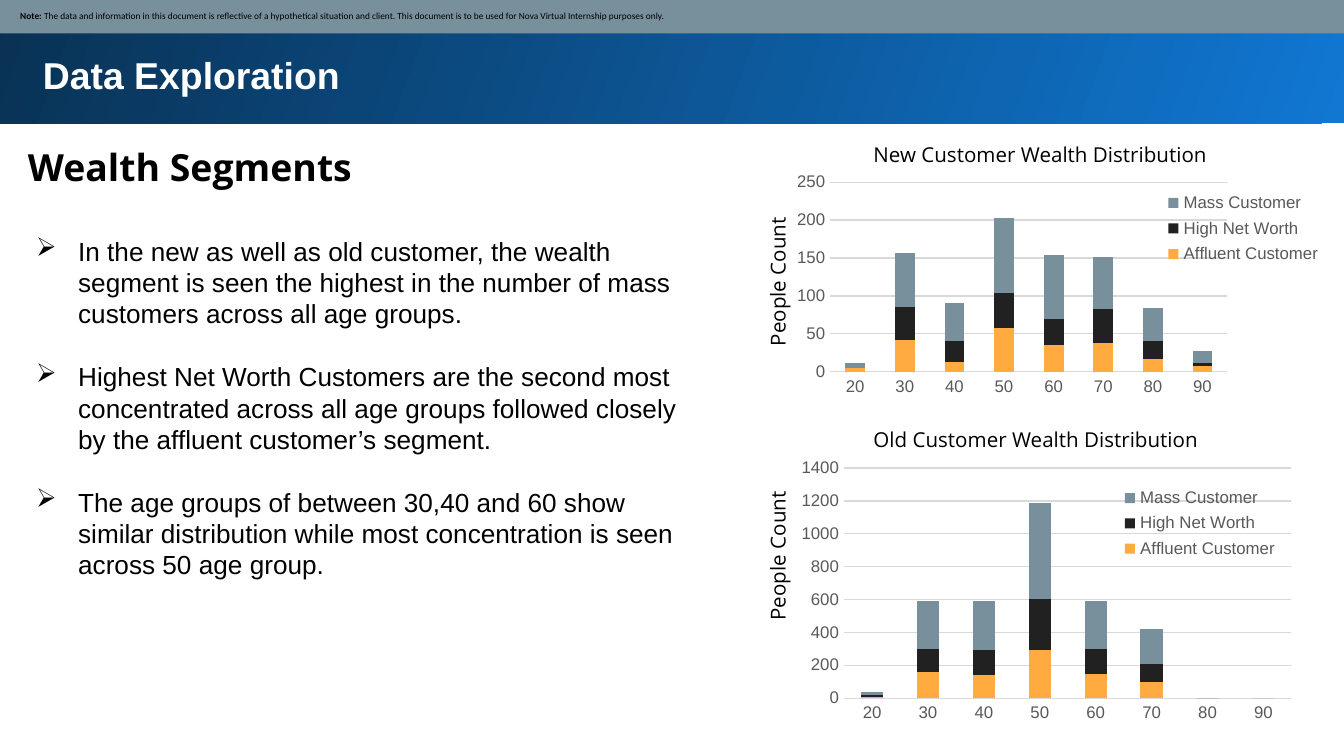
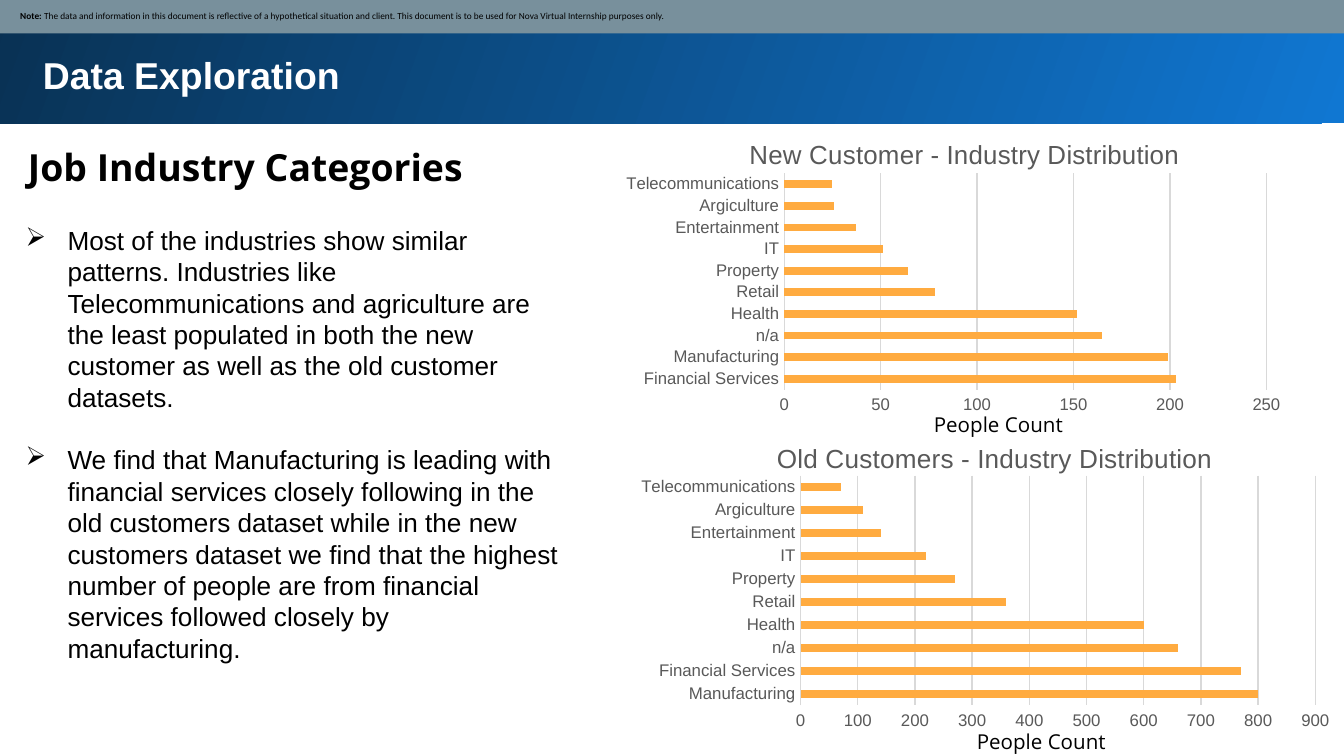
import pptx
import pptx.chart.data
import pptx.dml.color
import pptx.enum.chart
import pptx.enum.shapes
import pptx.enum.text
import pptx.oxml.ns
import pptx.util
from lxml import etree

Pt = pptx.util.Pt
RGB = pptx.dml.color.RGBColor
Kind = pptx.enum.chart.XL_CHART_TYPE
Anchor = pptx.enum.text.MSO_ANCHOR
qn = pptx.oxml.ns.qn

# Colours and fonts
BLUE = RGB(0x10, 0x77, 0xD2)
NAVY = RGB(0x09, 0x31, 0x53)
SLATE = RGB(0x78, 0x90, 0x9C)
AMBER = RGB(0xFF, 0xAB, 0x40)
COAL = RGB(0x21, 0x21, 0x21)
GREY = RGB(0x59, 0x59, 0x59)
RULE = RGB(0xD9, 0xD9, 0xD9)
BLACK = RGB(0, 0, 0)
WHITE = RGB(0xFF, 0xFF, 0xFF)
BODY, HEAD, SMALL = "Arial", "Open Sans", "Calibri"

NOTE = ("The data and information in this document is reflective of a "
        "hypothetical situation and client. This document is to be used "
        "for Nova Virtual Internship purposes only.")


class Deck:
    def __init__(self):
        self.prs = pptx.Presentation()
        self.prs.slide_width, self.prs.slide_height = Pt(720), Pt(405)
        self.slide = None

    # Text helpers
    def run(self, para, text, size, font, color=BLACK, bold=False):
        run = para.add_run()
        run.text = text
        style = run.font
        style.size, style.name, style.bold = Pt(size), font, bold
        style.color.rgb = color

    def frame(self, shape, inset, anchor=Anchor.TOP):
        frame = shape.text_frame
        frame.word_wrap = True
        frame.vertical_anchor = anchor
        frame.margin_left = frame.margin_right = Pt(inset)
        frame.margin_top = frame.margin_bottom = Pt(inset)
        para = frame.paragraphs[0]
        para.alignment = pptx.enum.text.PP_ALIGN.LEFT
        return frame, para

    def rect(self, *box):
        shape = self.slide.shapes.add_shape(
            pptx.enum.shapes.MSO_SHAPE.RECTANGLE, *map(Pt, box))
        shape.shadow.inherit = False
        shape.line.fill.background()
        return shape

    # Slide with band, title, note strip and heading
    def page(self, title, head):
        self.slide = self.prs.slides.add_slide(self.prs.slide_layouts[5])
        band = self.rect(-3.6, 0, 723.6, 66.2)
        band.fill.gradient()
        band.fill.gradient_angle = 160
        for stop, color in zip(band.fill.gradient_stops, (BLUE, NAVY)):
            stop.color.rgb = color

        name = self.slide.shapes.title
        name.left, name.top, name.width, name.height = map(
            Pt, (15.8, 20.9, 674.6, 36.7))
        para = self.frame(name, 7.2)[1]
        self.run(para, title, 20, BODY, WHITE, True)
        self.slide.shapes._spTree.append(name._element)

        strip = self.rect(-0.7, -0.7, 722, 18.7)
        strip.fill.solid()
        strip.fill.fore_color.rgb = SLATE
        frame, para = self.frame(strip, 3.6, Anchor.MIDDLE)
        frame.margin_left = Pt(11.5)
        self.run(para, "Note: ", 5, SMALL, bold=True)
        self.run(para, NOTE, 5, SMALL)
        self.label(head, (7.9, 66.2, 674.6, 40.3), 20, bold=True)

    def label(self, text, box, size=11, bold=False, turn=0):
        shape = self.slide.shapes.add_textbox(*map(Pt, box))
        shape.rotation = turn
        para = self.frame(shape, 7.2)[1]
        para.line_spacing = 1.15
        self.run(para, text, size, HEAD, bold=bold)

    def bullets(self, items, box):
        shape = self.slide.shapes.add_textbox(*map(Pt, box))
        frame, para = self.frame(shape, 3.6)
        for i, text in enumerate(items):
            if i:
                para = frame.add_paragraph()
                para.space_before = Pt(16.8)
            para.line_spacing = Pt(16.8)
            props = para._p.get_or_add_pPr()
            props.set("marL", str(Pt(22.5)))
            props.set("indent", str(-Pt(22.5)))
            etree.SubElement(props, qn("a:buChar")).set("char", "➢")
            self.run(para, text, 14, BODY)

    # Charts
    def place(self, node, index, x, y, w=None, h=None):
        for old in node.findall(qn("c:layout")):
            node.remove(old)
        layout = etree.Element(qn("c:layout"))
        node.insert(index, layout)
        manual = etree.SubElement(layout, qn("c:manualLayout"))
        parts = [("xMode", "edge"), ("yMode", "edge"), ("x", x), ("y", y)]
        if w:
            parts += [("w", w), ("h", h)]
        if node.tag == qn("c:plotArea"):
            parts.insert(0, ("layoutTarget", "inner"))
        for tag, value in parts:
            etree.SubElement(manual, qn("c:" + tag)).set("val", str(value))

    def chart(self, kind, box, cats, series, plot, top, step, gap):
        data = pptx.chart.data.CategoryChartData()
        data.categories = cats
        for name, _, values in series:
            data.add_series(name, values)
        chart = self.slide.shapes.add_chart(kind, *map(Pt, box), data).chart
        chart.has_title = chart.has_legend = False
        chart.font.name, chart.font.size = BODY, Pt(9)
        chart.font.color.rgb = GREY

        bars = chart.plots[0]
        bars.gap_width, bars.vary_by_categories = gap, False
        for item, (_, color, _) in zip(bars.series, series):
            item.format.fill.solid()
            item.format.fill.fore_color.rgb = color
            item.invert_if_negative = False

        value, cat = chart.value_axis, chart.category_axis
        for axis in (value, cat):
            axis.major_tick_mark = pptx.enum.chart.XL_TICK_MARK.NONE
            axis.minor_tick_mark = pptx.enum.chart.XL_TICK_MARK.NONE
        value.minimum_scale, value.maximum_scale = 0, top
        value.major_unit = step
        value.format.line.fill.background()
        value.has_major_gridlines = True
        for line in (value.major_gridlines.format.line, cat.format.line):
            line.color.rgb = RULE
            line.width = Pt(0.75)
        self.place(chart._chartSpace.chart.plotArea, 0, *plot)
        return chart

    def stack(self, box, rows, plot, key, top, step):
        names = ("Affluent Customer", "High Net Worth", "Mass Customer")
        series = list(zip(names, (AMBER, COAL, SLATE), rows))
        ages = [str(age) for age in range(20, 100, 10)]
        chart = self.chart(Kind.COLUMN_STACKED, box, ages, series,
                           plot, top, step, 150)
        chart.plots[0].overlap = 100
        chart.has_legend = True
        chart.legend.position = pptx.enum.chart.XL_LEGEND_POSITION.RIGHT
        chart.legend.include_in_layout = False
        self.place(chart.legend._element, 1, *key)

    def bar(self, title, box, cats, values, plot, spot, top, step):
        chart = self.chart(Kind.BAR_CLUSTERED, box, cats,
                           [("Series 1", AMBER, values)],
                           plot, top, step, 182)
        chart.has_title = True
        para = chart.chart_title.text_frame.paragraphs[0]
        self.run(para, title, 14, BODY, GREY)
        self.place(chart.chart_title._element, 1, *spot)


def wealth(deck):
    deck.page("Data Exploration", "Wealth Segments")
    for era, y in (("New", 67), ("Old", 219.6)):
        deck.label(f"{era} Customer Wealth Distribution",
                   (460.8, y, 245, 28.8))
    for y in (133.2, 280.1):
        deck.label("People Count", (370.1, y, 90, 28.8), turn=270)
    deck.bullets([
        "In the new as well as old customer, the wealth segment is seen the "
        "highest in the number of mass customers across all age groups.",
        "Highest Net Worth Customers are the second most concentrated across "
        "all age groups followed closely by the affluent customer’s segment.",
        "The age groups of between 30,40 and 60 show similar distribution "
        "while most concentration is seen across 50 age group.",
    ], (15.8, 122.4, 360, 211))
    deck.stack((427, 87.8, 284.4, 124.6), [
        (5, 42, 13, 58, 35, 38, 17, 7),
        (None, 43, 28, 46, 34, 45, 23, 4),
        (7, 71, 50, 99, 85, 68, 44, 16),
    ], (0.06, 0.08, 0.75, 0.82), (0.69, 0.1, 0.3, 0.36), 250, 50)
    deck.stack((414.7, 239.8, 288.7, 156.2), [
        (10, 160, 140, 290, 150, 100, 0, 0),
        (10, 140, 150, 310, 150, 110, 0, None),
        (20, 290, 300, 590, 290, 210, None, 0),
    ], (0.13, 0.07, 0.83, 0.79), (0.64, 0.12, 0.3, 0.28), 1400, 200)


def jobs(deck):
    deck.page("Data Exploration", "Job Industry Categories")
    for x, y in ((493.2, 211.7), (516.2, 381.6)):
        deck.label("People Count", (x, y, 90, 28.8))
    lead = ["Manufacturing", "Financial Services"]
    rest = ["n/a", "Health", "Retail", "Property", "IT", "Entertainment",
            "Argiculture", "Telecommunications"]
    deck.bar("New Customer - Industry Distribution",
             (335.5, 59.8, 357.1, 165.6), lead[::-1] + rest,
             (203, 199, 165, 152, 78, 64, 51, 37, 26, 25),
             (0.23, 0.2, 0.73, 0.7), (0.17, 0.07), 250, 50)
    deck.bar("Old Customers - Industry Distribution",
             (337, 221.8, 383, 173.5), lead + rest,
             (800, 770, 660, 600, 360, 270, 220, 140, 110, 70),
             (0.24, 0.19, 0.72, 0.71), (0.2, 0.07), 900, 100)
    deck.bullets([
        "Most of the industries show similar patterns. Industries like "
        "Telecommunications and agriculture are the least populated in both "
        "the new customer as well as the old customer datasets.",
        "We find that Manufacturing is leading with financial services "
        "closely following in the old customers dataset while in the new "
        "customers dataset we find that the highest number of people are "
        "from financial services followed closely by manufacturing.",
    ], (10.1, 116.6, 297.4, 227.5))


def main():
    deck = Deck()
    wealth(deck)
    jobs(deck)
    deck.prs.save("out.pptx")


if __name__ == "__main__":
    main()
